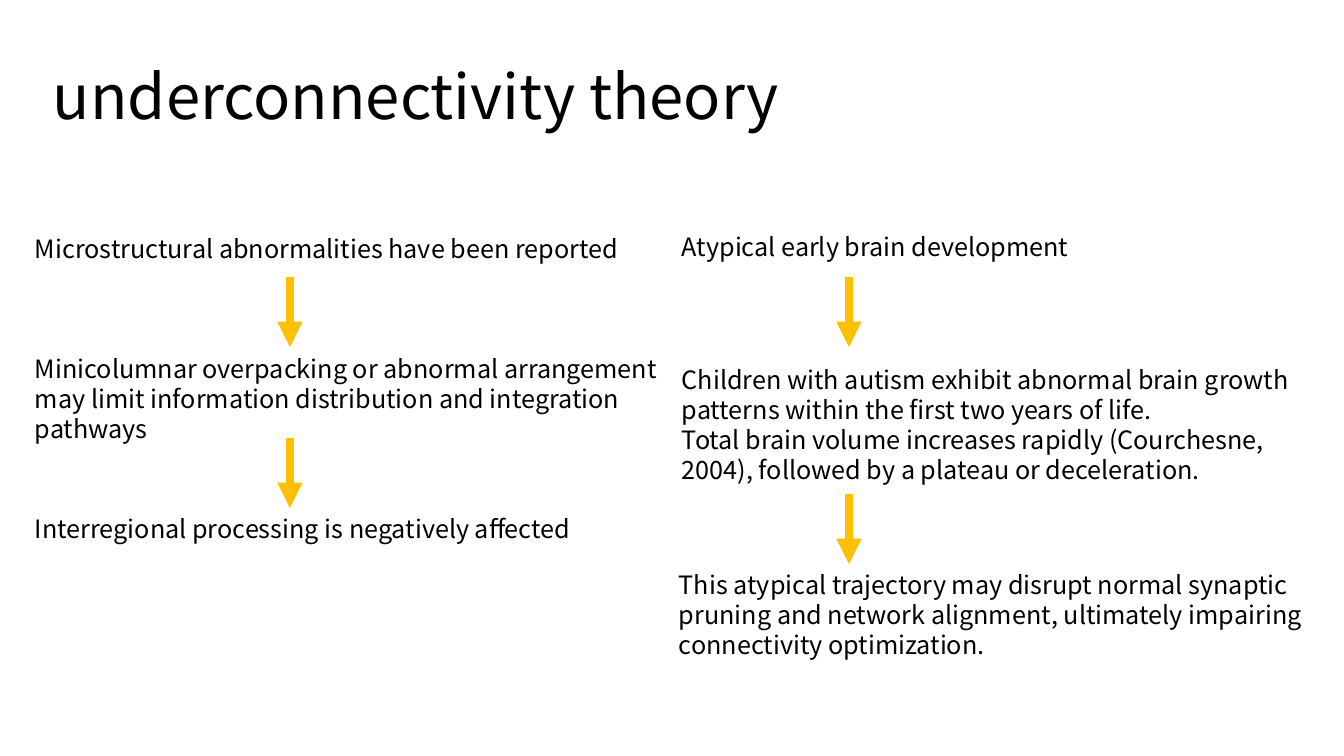
import pptx
import pptx.util
import pptx.dml.color
import pptx.enum.shapes
import pptx.enum.text
import pptx.oxml.ns
import lxml.etree

# Content: lengths in px
FONT = "Noto Sans CJK KR"
COLORS = {"text": "000000", "arrow": "FFC000"}
TITLE = ("underconnectivity theory", (43, 24, 1159, 146))

# Each column: arrow x, arrow tops, notes as (left, top, width, height, paragraphs)
COLUMNS = [
    {
        "x": 290,
        "arrows": [277, 438],
        "notes": [
            (25, 228, 606, 40, ["Microstructural abnormalities have been reported"]),
            (25, 348, 672, 102, [
                "Minicolumnar overpacking or abnormal arrangement may limit "
                "information distribution and integration pathways"]),
            (25, 508, 587, 40, ["Interregional processing is negatively affected"]),
        ],
    },
    {
        "x": 849,
        "arrows": [277, 494],
        "notes": [
            (672, 226, 423, 40, ["Atypical early brain development"]),
            (672, 359, 672, 132, [
                "Children with autism exhibit abnormal brain growth patterns "
                "within the first two years of life.",
                "Total brain volume increases rapidly (Courchesne, 2004), "
                "followed by a plateau or deceleration."]),
            (669, 564, 675, 102, [
                "This atypical trajectory may disrupt normal synaptic pruning and "
                "network alignment, ultimately impairing connectivity optimization."]),
        ],
    },
]
DROP = 70
SCALE = 914400 / 100.8


def px(n):
    return pptx.util.Emu(round(n * SCALE))


def color(key):
    return pptx.dml.color.RGBColor.from_string(COLORS[key])


def add_text(slide, box, lines, size, pitch, anchor):
    frame = slide.shapes.add_textbox(*map(px, box)).text_frame
    frame.word_wrap = True
    frame.vertical_anchor = anchor
    for i, line in enumerate(lines):
        para = frame.add_paragraph() if i else frame.paragraphs[0]
        para.line_spacing = pptx.util.Pt(pitch)
        run = para.add_run()
        run.text = line
        run.font.name = FONT
        run.font.size = pptx.util.Pt(size)
        run.font.color.rgb = color("text")


def add_arrow(slide, x, top):
    arrow = slide.shapes.add_connector(
        pptx.enum.shapes.MSO_CONNECTOR.STRAIGHT,
        px(x), px(top), px(x), px(top + DROP))
    arrow.line.color.rgb = color("arrow")
    arrow.line.width = pptx.util.Pt(6)
    qn = pptx.oxml.ns.qn
    line = arrow.line._get_or_add_ln()
    lxml.etree.SubElement(line, qn("a:tailEnd"), type="triangle")
    lxml.etree.SubElement(line.getparent(), qn("a:effectLst"))


def main():
    deck = pptx.Presentation()
    deck.slide_width, deck.slide_height = px(1344), px(756)
    slide = deck.slides.add_slide(deck.slide_layouts[6])
    anchor = pptx.enum.text.MSO_ANCHOR

    # Title
    text, box = TITLE
    add_text(slide, box, [text], 44, 50, anchor.MIDDLE)

    # Two chains of notes joined by arrows
    for col in COLUMNS:
        for *box, lines in col["notes"]:
            add_text(slide, box, lines, 18, 21.6, anchor.TOP)
        for top in col["arrows"]:
            add_arrow(slide, col["x"], top)

    deck.save("out.pptx")


if __name__ == "__main__":
    main()
